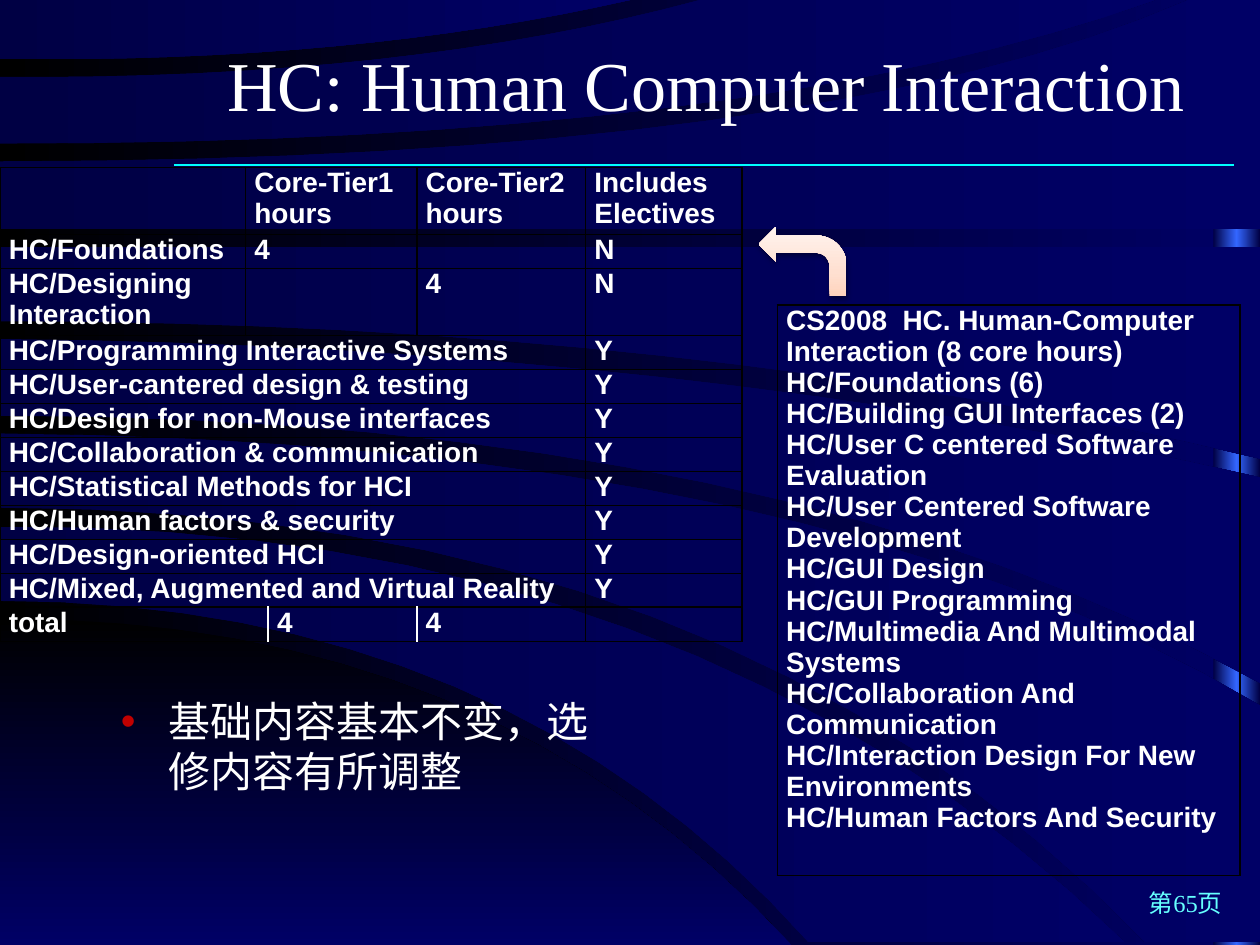
from copy import deepcopy
from lxml.etree import SubElement
from pptx import Presentation
from pptx.dml.color import RGBColor
from pptx.enum.shapes import MSO_CONNECTOR, MSO_SHAPE
from pptx.enum.text import MSO_ANCHOR, PP_ALIGN
from pptx.oxml.ns import qn
from pptx.util import Inches, Pt

WHITE, BLACK, CJK = "FFFFFF", "000000", "Noto Sans CJK SC"
NIGHT = [(0, BLACK), (100, "000066")]
WAVE = [(0, "000044"), (100, "000066")]
GLOW = [(0, "000044"), (50, "3366FF"), (100, "000044")]
PEACH = [(0, "FFD4BD"), (35, "FFE0D1"), (100, "FFF3EE")]

CURVE_STEPS = 16
HILL = [(0, 4.91), (3.9, 4.9), (6.28, 7.5)]
WAVES = [
    ([(0, 4.18), (5.5, 4.15), (8.93, 7.48)], [(0, 4.77), (4, 4.77), (6.42, 7.48)], []),
    ([(0, 3.44), (6.5, 3.5), (10, 5.6)], [(0, 4.03), (5.8, 4.03), (9.09, 7.48)], [(10, 7.48)]),
    ([(0, 2.69), (5.5, 2.75), (10, 3.79)], [(0, 3.3), (6.2, 3.3), (10, 5.42)], []),
    ([(0, 1.96), (5, 1.96), (10, 1.96)], [(0, 2.55), (5.5, 2.55), (10, 3.64)], []),
    ([(0, 1.28), (6.5, 1.28), (9.43, 0)], [(0, 1.82), (5, 1.82), (10, 1.82)], [(10, 0)]),
    ([(0, 0.61), (3.2, 0.64), (5.56, 0)], [(0, 1.14), (6, 1.14), (9.17, 0)], []),
    ([(0, 0), (2.5, 0), (5, 0)], [(0, 0.47), (2.8, 0.5), (5, 0)], []),
]

ELECTIVES = ["Programming Interactive Systems", "User-cantered design & testing",
             "Design for non-Mouse interfaces", "Collaboration & communication",
             "Statistical Methods for HCI", "Human factors & security",
             "Design-oriented HCI", "Mixed, Augmented and Virtual Reality"]
HOURS = [
    ["", "Core-Tier1\nhours", "", "Core-Tier2\nhours", "Includes\nElectives"],
    ["HC/Foundations", "4", "", "", "N"],
    ["HC/Designing Interaction", "", "", "4", "N"],
    *[["HC/" + name, "", "", "", "Y"] for name in ELECTIVES],
    ["total", "", "4", "4", ""],
]
HOUR_SPANS = [(1, 2)] * 3 + [(0, 3)] * len(ELECTIVES) + [(0, 1)]
HOUR_HEIGHTS = [0.53, 0.27, 0.53] + [0.27] * 9
OLD_UNITS = [[
    "CS2008  HC. Human-Computer Interaction (8 core hours)\nHC/Foundations (6)\n"
    "HC/Building GUI Interfaces (2)\nHC/User C centered Software Evaluation\n"
    "HC/User Centered Software Development\nHC/GUI Design\nHC/GUI Programming\n"
    "HC/Multimedia And Multimodal Systems\nHC/Collaboration And Communication\n"
    "HC/Interaction Design For New Environments\nHC/Human Factors And Security"
]]


def color(value):
    return RGBColor.from_string(value)


def paint(fill, element, stops, angle=0):
    fill.gradient()
    fill.gradient_angle = angle
    stop_list = element.xpath(".//a:gsLst")[0]
    while len(stop_list) < len(stops):
        stop_list.append(deepcopy(stop_list[0]))
    for stop, (position, value) in zip(fill.gradient_stops, stops):
        stop.position = position / 100
        stop.color.rgb = color(value)


def finish(shape, stops, angle=0):
    shape.shadow.inherit = False
    shape.line.fill.background()
    paint(shape.fill, shape._element, stops, angle)


def trace(start, control, end):
    points = []
    for step in range(CURVE_STEPS + 1):
        t = step / CURVE_STEPS
        points.append(tuple((1 - t) ** 2 * a + 2 * t * (1 - t) * b + t ** 2 * c
                            for a, b, c in zip(start, control, end)))
    return points


def draw_outline(points, stops, angle=0):
    corners = [(Inches(x), Inches(y)) for x, y in points]
    builder = page.shapes.build_freeform(*corners[0])
    builder.add_line_segments(corners[1:], close=True)
    finish(builder.convert_to_shape(), stops, angle)


def style(frame, size, value, name, bold=False, align=PP_ALIGN.LEFT):
    for para in frame.paragraphs:
        para.alignment = align
        for span in para.runs:
            span.font.size, span.font.bold, span.font.name = Pt(size), bold, name
            span.font.color.rgb = color(value)
            SubElement(span._r.get_or_add_rPr(), qn("a:ea"), typeface=CJK)
        if not para.runs:
            para._p.get_or_add_endParaRPr().set("sz", str(size * 100))


def place(shape, left, top, width, height):
    shape.left, shape.top = Inches(left), Inches(top)
    shape.width, shape.height = Inches(width), Inches(height)
    page.shapes._spTree.append(shape._element)


def set_borders(cell, white_sides):
    properties = cell._tc.get_or_add_tcPr()
    for side in "LRTB":
        line = SubElement(properties, qn("a:ln" + side), w=str(Pt(1)))
        fill = SubElement(line, qn("a:solidFill"))
        SubElement(fill, qn("a:srgbClr"), val=WHITE if side in white_sides else BLACK)


def add_grid(rows, left, top, widths, heights, spans=(), white=None):
    table = page.shapes.add_table(len(rows), len(widths), Inches(left), Inches(top),
                                  Inches(sum(widths)), Inches(sum(heights))).table
    table.first_row = table.horz_banding = False
    for column, width in zip(table.columns, widths):
        column.width = Inches(width)
    for row, height in zip(table.rows, heights):
        row.height = Inches(height)
    for r, texts in enumerate(rows):
        for c, text in enumerate(texts):
            cell = table.cell(r, c)
            cell.text = text
            cell.margin_left = cell.margin_right = Inches(0.07)
            cell.margin_top = cell.margin_bottom = 0
            style(cell.text_frame, 16, WHITE, "Arial", True)
            set_borders(cell, (white or {}).get((r, c), ""))
            cell.fill.background()
    for r, (first, last) in enumerate(spans):
        table.cell(r, first).merge(table.cell(r, last))


deck = Presentation()
deck.slide_width, deck.slide_height = Inches(10), Inches(7.5)
page = deck.slides.add_slide(deck.slide_layouts[1])
paint(page.background.fill, page._element, NIGHT)

finish(page.shapes.add_shape(MSO_SHAPE.RECTANGLE, Inches(9.63), 0, Inches(0.37), Inches(7.5)), GLOW)
draw_outline(trace(*HILL) + [(0, 7.5)], NIGHT, 270)
for upper, lower, corner in WAVES:
    draw_outline(trace(*upper) + corner + trace(*lower)[::-1], WAVE)

rule = page.shapes.add_connector(MSO_CONNECTOR.STRAIGHT, Inches(1.38), Inches(1.31),
                                 Inches(9.79), Inches(1.31))
rule.line.color.rgb, rule.line.width = color("00FFFF"), Pt(0.75)
SubElement(rule._element.spPr, qn("a:effectLst"))

title = page.shapes.title
place(title, 1.39, 0.19, 8.43, 0.94)
title.text_frame.text = "HC: Human Computer Interaction"
title.text_frame.vertical_anchor = MSO_ANCHOR.MIDDLE
style(title.text_frame, 40, WHITE, "Times New Roman", align=PP_ALIGN.CENTER)

total = len(HOURS) - 1
add_grid(HOURS, 0, 1.33, [1.95, 0.16, 1.18, 1.34, 1.24], HOUR_HEIGHTS, HOUR_SPANS,
         {(total, 0): "R", (total, 1): "R", (total, 2): "LR", (total, 3): "L"})
add_grid(OLD_UNITS, 6.17, 2.42, [3.67], [4.53])

body = page.placeholders[1]
place(body, 0.86, 5.47, 3.98, 1.33)
body.text_frame.text = "基础内容基本不变，选修内容有所调整"
para = body.text_frame.paragraphs[0]
para.space_before = Pt(0)
bullet = para._p.get_or_add_pPr()
bullet.set("marL", str(Inches(0.38)))
bullet.set("indent", str(Inches(-0.38)))
SubElement(SubElement(bullet, qn("a:buClr")), qn("a:srgbClr"), val="C00000")
SubElement(bullet, qn("a:buChar"), char="•")
style(body.text_frame, 24, WHITE, CJK)

arrow = page.shapes.add_shape(MSO_SHAPE.BENT_ARROW, Inches(6.02), Inches(1.8), Inches(0.7), Inches(0.55))
finish(arrow, PEACH, 90)
arrow.rotation = 180
arrow._element.spPr.find(qn("a:xfrm")).set("flipV", "1")
shadow = SubElement(arrow._element.spPr.find(qn("a:effectLst")), qn("a:outerShdw"),
                    blurRad=str(Pt(3.1)), dist=str(Pt(1.6)), dir="5400000", rotWithShape="0")
SubElement(SubElement(shadow, qn("a:srgbClr"), val=BLACK), qn("a:alpha"), val="38000")

number = page.shapes.add_textbox(Inches(7.72), Inches(7), Inches(2.08), Inches(0.36))
number.text_frame.word_wrap = True
number.text_frame.text = "第65页"
style(number.text_frame, 14, "66FFFF", "Times New Roman", align=PP_ALIGN.RIGHT)

deck.save("out.pptx")
